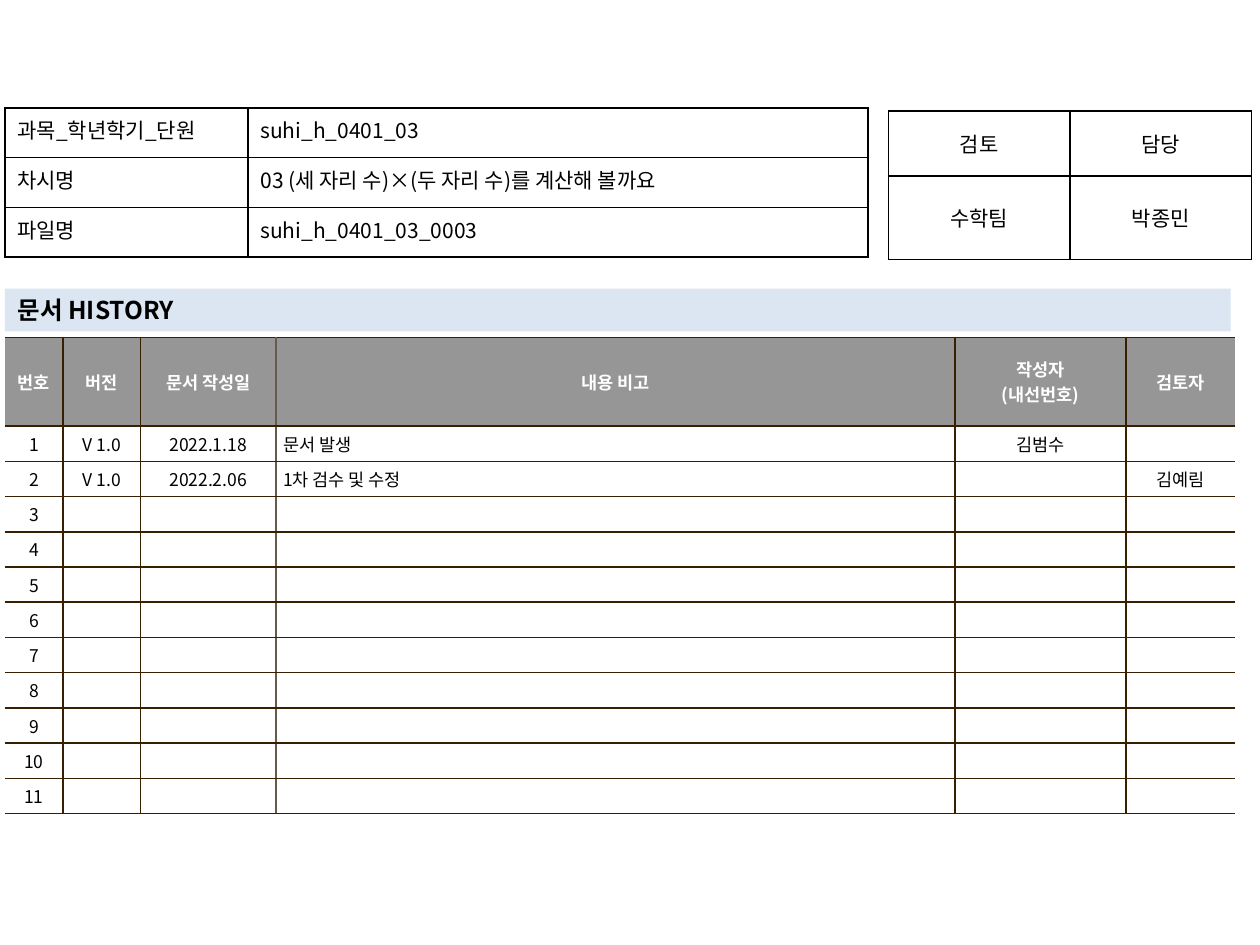
from lxml import etree
from pptx import Presentation
from pptx import util as u
from pptx.dml.color import RGBColor
from pptx.enum import text
from pptx.oxml import ns

FONT = "Noto Sans CJK KR"
BLACK = RGBColor(0x00, 0x00, 0x00)
WHITE = RGBColor(0xFF, 0xFF, 0xFF)
GRAY = RGBColor(0x96, 0x96, 0x96)
BROWN = RGBColor(0x36, 0x20, 0x00)
TAUPE = RGBColor(0x64, 0x5B, 0x4C)
PALE_BLUE = RGBColor(0xDC, 0xE6, 0xF2)

LEFT = text.PP_ALIGN.LEFT
CENTER = text.PP_ALIGN.CENTER
JUSTIFY = text.PP_ALIGN.JUSTIFY
TOP = text.MSO_ANCHOR.TOP
MIDDLE = text.MSO_ANCHOR.MIDDLE

HISTORY_HEADER = ["번호", "버전", "문서 작성일", "내용 비고", "작성자\n(내선번호)", "검토자"]
HISTORY_ENTRIES = [
    ["V 1.0", "2022.1.18", "문서 발생", "김범수", ""],
    ["V 1.0", "2022.2.06", "1차 검수 및 수정", "", "김예림"],
]
HISTORY_LENGTH = 11
LESSON = [
    ["과목_학년학기_단원", "suhi_h_0401_03"],
    ["차시명", "03 (세 자리 수)×(두 자리 수)를 계산해 볼까요"],
    ["파일명", "suhi_h_0401_03_0003"],
]
REVIEW = [["검토", "담당"], ["수학팀", "박종민"]]


def set_attributes(target, values):
    for name, value in values.items():
        setattr(target, name, value)


def format_text(frame, size, color, bold, align):
    for para in frame.paragraphs:
        para.alignment = align
        for span in para.runs:
            set_attributes(span.font, {"name": FONT, "size": u.Pt(size), "bold": bold})
            span.font.color.rgb = color
            east_asian = etree.SubElement(span.font._element, ns.qn("a:ea"))
            east_asian.set("typeface", FONT)
        if not para.runs:
            end = etree.SubElement(para._p, ns.qn("a:endParaRPr"))
            end.set("sz", str(size * 100))


def add_border(cell, side, color):
    line = etree.SubElement(cell._tc.get_or_add_tcPr(), ns.qn(f"a:ln{side}"), w=str(u.Pt(1)))
    if color is None:
        etree.SubElement(line, ns.qn("a:noFill"))
    else:
        fill = etree.SubElement(line, ns.qn("a:solidFill"))
        etree.SubElement(fill, ns.qn("a:srgbClr"), val=str(color))


def fill_cell(cell, color):
    if color is None:
        cell.fill.background()
    else:
        cell.fill.solid()
        cell.fill.fore_color.rgb = color


def add_grid(page, left, top, widths, heights, rows, aligns, verticals, horizontal,
             size=12, anchor=MIDDLE, margins=(0.25, 0.13), fills=(None, None), header=False):
    frame = page.shapes.add_table(len(rows), len(widths), u.Cm(left), u.Cm(top),
                                  u.Cm(sum(widths)), u.Cm(sum(heights)))
    table = frame.table
    set_attributes(table, {"first_row": False, "horz_banding": False})
    for column, width in zip(table.columns, widths):
        column.width = u.Cm(width)
    for row, height in zip(table.rows, heights):
        row.height = u.Cm(height)
    side_margin, end_margin = map(u.Cm, margins)
    for r, values in enumerate(rows):
        is_header = header and r == 0
        for c, value in enumerate(values):
            cell = table.cell(r, c)
            set_attributes(cell, {
                "margin_left": side_margin, "margin_right": side_margin,
                "margin_top": end_margin, "margin_bottom": end_margin,
                "vertical_anchor": anchor,
            })
            cell.text_frame.text = value
            format_text(cell.text_frame, size, WHITE if is_header else BLACK,
                        is_header, CENTER if is_header else aligns[c])
            borders = {"L": verticals[c], "R": verticals[c + 1], "T": horizontal, "B": horizontal}
            for side, color in borders.items():
                add_border(cell, side, color)
            fill_cell(cell, fills[0] if is_header else fills[1])


def add_history(page):
    blank = [""] * (len(HISTORY_HEADER) - 1)
    blanks = [blank] * (HISTORY_LENGTH - len(HISTORY_ENTRIES))
    entries = [[str(number), *entry]
               for number, entry in enumerate(HISTORY_ENTRIES + blanks, start=1)]
    add_grid(page, 0.1, 6.8, [1.17, 1.56, 2.73, 13.69, 3.45, 2.2],
             [1.79] + [0.71] * HISTORY_LENGTH, [HISTORY_HEADER] + entries,
             [CENTER] * 3 + [LEFT] + [CENTER] * 2,
             [None, BROWN, BROWN, TAUPE, BROWN, BROWN, None], BROWN,
             size=10, margins=(0.15, 0.1), fills=(GRAY, WHITE), header=True)


def add_banner(page, wording):
    box = page.shapes.title
    set_attributes(box, {"left": u.Cm(0.1), "top": u.Cm(5.82),
                         "width": u.Cm(24.71), "height": u.Cm(0.86)})
    box.fill.solid()
    box.fill.fore_color.rgb = PALE_BLUE
    frame = box.text_frame
    frame.text = wording
    set_attributes(frame, {"word_wrap": True, "vertical_anchor": MIDDLE,
                           "auto_size": text.MSO_AUTO_SIZE.NONE})
    format_text(frame, 14, BLACK, True, LEFT)


def main():
    deck = Presentation()
    set_attributes(deck, {"slide_width": u.Cm(25.4), "slide_height": u.Cm(19.05)})
    page = deck.slides.add_slide(deck.slide_layouts[5])
    add_history(page)
    add_grid(page, 17.91, 2.24, [3.66] * 2, [1.31, 1.68], REVIEW,
             [CENTER] * 2, [BLACK] * 3, BLACK)
    add_banner(page, "문서 HISTORY")
    add_grid(page, 0.1, 2.18, [4.9, 12.5], [1] * 3, LESSON,
             [JUSTIFY, LEFT], [BLACK] * 3, BLACK, anchor=TOP)
    deck.save("out.pptx")


if __name__ == "__main__":
    main()
